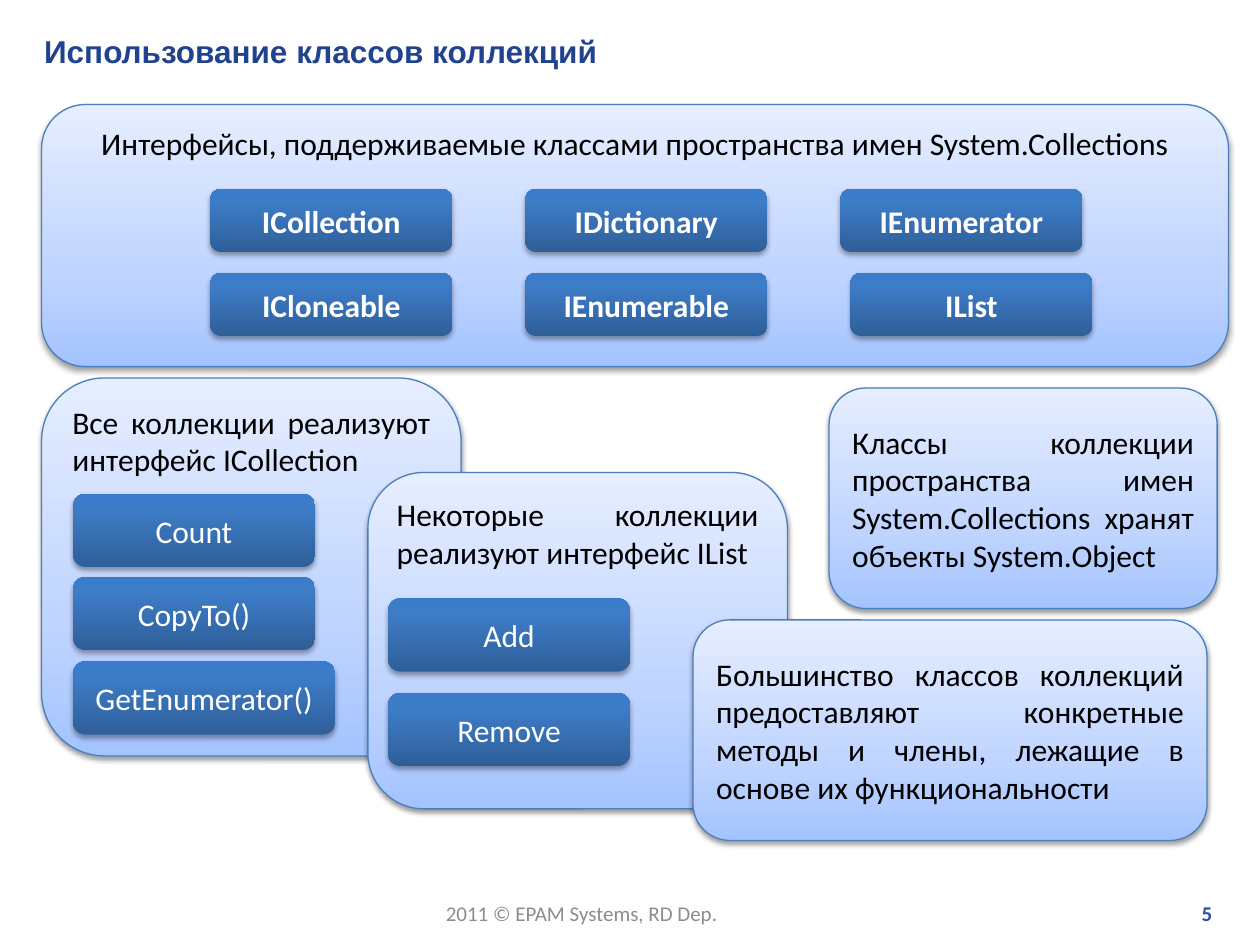
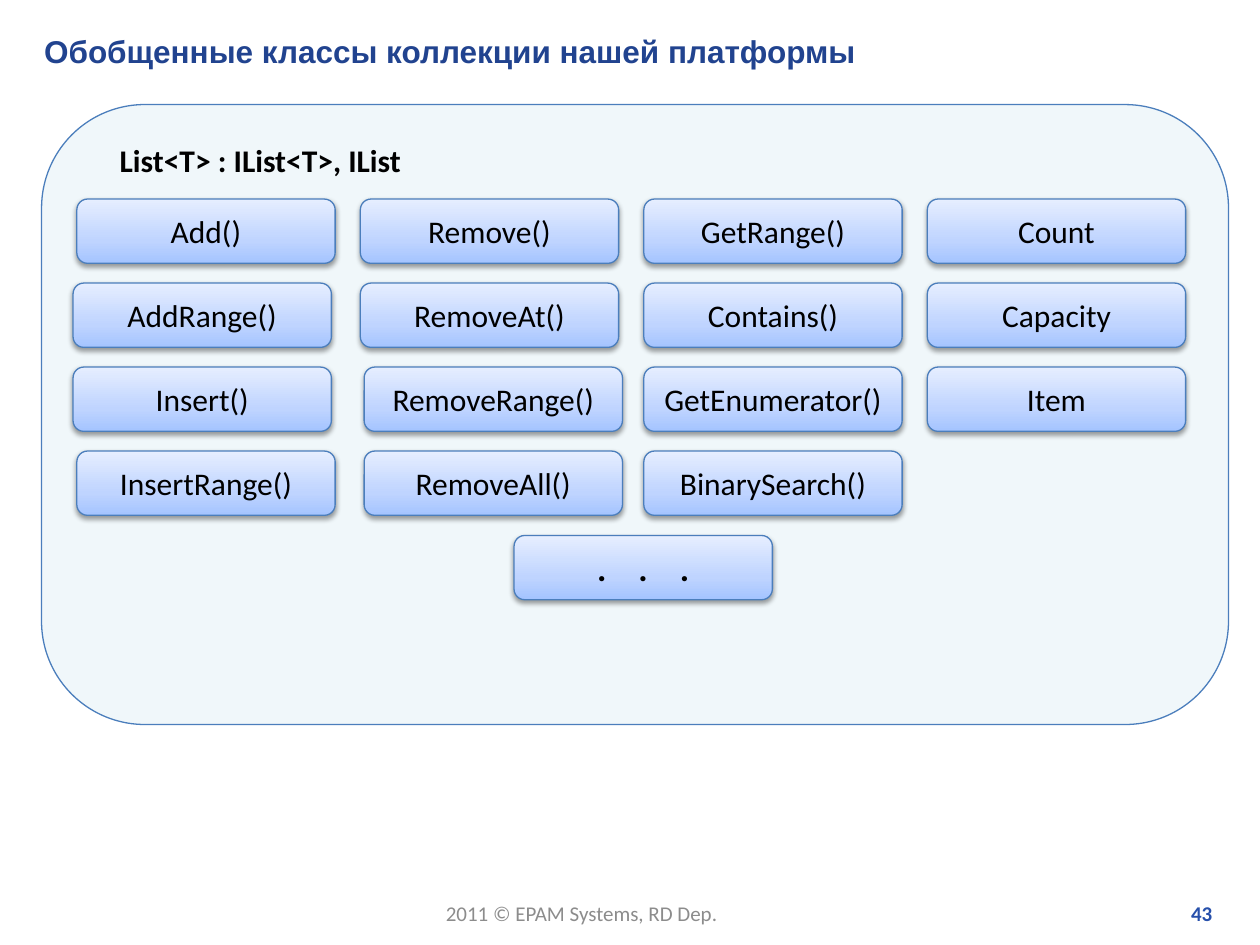
from dataclasses import dataclass

from lxml import etree
from pptx import Presentation
from pptx.dml.color import RGBColor
from pptx.enum.shapes import MSO_SHAPE
from pptx.enum.text import MSO_ANCHOR, PP_ALIGN
from pptx.oxml.ns import qn
from pptx.shapes.autoshape import Shape
from pptx.slide import Slide
from pptx.text.text import TextFrame
from pptx.util import Inches, Pt

ROUNDED = MSO_SHAPE.ROUNDED_RECTANGLE
LEFT, CENTER, RIGHT, JUSTIFY = PP_ALIGN.LEFT, PP_ALIGN.CENTER, PP_ALIGN.RIGHT, PP_ALIGN.JUSTIFY
TOP, MIDDLE = MSO_ANCHOR.TOP, MSO_ANCHOR.MIDDLE

BLACK = RGBColor(0x00, 0x00, 0x00)
WHITE = RGBColor(0xFF, 0xFF, 0xFF)
TITLE_BLUE = RGBColor(0x21, 0x43, 0x8F)
NUMBER_BLUE = RGBColor(0x27, 0x50, 0xAB)
FOOTER_GRAY = RGBColor(0x8C, 0x8C, 0x8C)
OUTLINE_BLUE = RGBColor(0x4B, 0x7E, 0xBC)
PALE_BLUE = RGBColor(0xF0, 0xF7, 0xFA)

TITLE_ONLY = 5
COPYRIGHT = "2011 © EPAM Systems, RD Dep."


@dataclass(frozen=True)
class Style:
    """Gradient stops run from the bottom up; shadow sizes are in points."""
    stops: tuple[tuple[int, RGBColor], ...]
    shadow_opacity: int
    shadow_distance: float
    text_color: RGBColor
    line: RGBColor | None = None


@dataclass(frozen=True)
class Box:
    text: str
    left: float
    top: float
    width: float
    height: float
    align: PP_ALIGN = CENTER
    anchor: MSO_ANCHOR = MIDDLE
    bold: bool = False
    size: int = 18
    space_after: int = 10
    tracking: int = 0


LIGHT = Style(
    ((0, RGBColor(0xA4, 0xC4, 0xFF)), (35, RGBColor(0xBF, 0xD4, 0xFF)), (100, RGBColor(0xE6, 0xEE, 0xFF))),
    shadow_opacity=38, shadow_distance=1.6, text_color=BLACK, line=OUTLINE_BLUE,
)
DARK = Style(
    ((0, RGBColor(0x2F, 0x5F, 0x99)), (80, RGBColor(0x3D, 0x7C, 0xC7)), (100, RGBColor(0x3A, 0x7C, 0xCB))),
    shadow_opacity=35, shadow_distance=1.8, text_color=WHITE,
)

ROW_PITCH = 2 / 3
INTERFACE_COLUMNS = (
    ("ICollection", "ICloneable"),
    ("IDictionary", "IEnumerable"),
    ("IEnumerator", "IList"),
)
LIST_COLUMNS = (
    ("Add()", "AddRange()", "Insert()", "InsertRange()"),
    ("Remove()", "RemoveAt()", "RemoveRange()", "RemoveAll()"),
    ("GetRange()", "Contains()", "GetEnumerator()", "BinarySearch()"),
    ("Count", "Capacity", "Item"),
)
NUDGES = {"IList": 0.08, "AddRange()": -0.03, "Insert()": -0.03,
          "RemoveRange()": 0.03, "RemoveAll()": 0.03}

COLLECTION_PANEL = Box("Все коллекции реализуют интерфейс IСollection",
                       0.33, 3, 3.33, 3, JUSTIFY, TOP)
COLLECTION_MEMBERS = (
    Box("Count", 0.58, 3.92, 1.92, 0.58),
    Box("CopyTo()", 0.58, 4.58, 1.92, 0.58),
    Box("GetEnumerator()", 0.58, 5.25, 2.08, 0.58),
)
LIST_PANEL = Box("Некоторые коллекции реализуют интерфейс IList",
                 2.92, 3.75, 3.33, 2.67, JUSTIFY, TOP)
LIST_MEMBERS = (
    Box("Add", 3.08, 4.75, 1.92, 0.58),
    Box("Remove", 3.08, 5.5, 1.92, 0.58),
)
INTERFACE_PANEL = Box("Интерфейсы, поддерживаемые классами пространства имен System.Collections",
                      0.33, 0.83, 9.42, 2.08, CENTER, TOP)
NOTES = (
    Box("Классы коллекции пространства имен System.Collections хранят объекты System.Object",
        6.58, 3.08, 3.08, 1.75, JUSTIFY),
    Box("Большинство классов коллекций предоставляют конкретные методы и члены, "
        "лежащие в основе их функциональности", 5.5, 4.92, 4.08, 1.75, JUSTIFY),
)
MORE_MEMBERS = Box(". . .", 4.08, 4.25, 2.05, 0.51, bold=True, size=20, space_after=0, tracking=690)


def write(frame: TextFrame, text: str, *, color: RGBColor, size: int = 18, font: str = "Calibri",
          bold: bool = False, align: PP_ALIGN = LEFT, anchor: MSO_ANCHOR = TOP,
          space_after: int = 0, tracking: int = 0, wrap: bool = True) -> None:
    """Fill a frame with one paragraph; tracking is in hundredths of a point."""
    frame.word_wrap = wrap
    frame.vertical_anchor = anchor
    para = frame.paragraphs[0]
    para.alignment = align
    para.space_after = Pt(space_after)
    span = para.add_run()
    span.text = text
    span.font.name = font
    span.font.size = Pt(size)
    span.font.bold = bold
    span.font.color.rgb = color
    if tracking:
        span.font._element.set("spc", str(tracking))


def add_color(parent: etree._Element, color: RGBColor) -> etree._Element:
    return etree.SubElement(parent, qn("a:srgbClr"), val=str(color))


def fill_gradient(shape: Shape, stops: tuple[tuple[int, RGBColor], ...]) -> None:
    shape.fill.gradient()
    shape.fill.gradient_angle = 90
    stop_list = shape._element.spPr.find(f".//{qn('a:gsLst')}")
    for stop in list(stop_list):
        stop_list.remove(stop)
    for percent, color in stops:
        add_color(etree.SubElement(stop_list, qn("a:gs"), pos=str(percent * 1000)), color)


def add_drop_shadow(shape: Shape, opacity: int, distance: float) -> None:
    effects = shape._element.spPr.find(qn("a:effectLst"))
    shadow = etree.SubElement(effects, qn("a:outerShdw"), blurRad=str(Pt(3.1)),
                              dist=str(Pt(distance)), dir="5400000", rotWithShape="0")
    etree.SubElement(add_color(shadow, BLACK), qn("a:alpha"), val=str(opacity * 1000))


def add_rounded(slide: Slide, left: float, top: float, width: float, height: float,
                line: RGBColor | None) -> Shape:
    shape = slide.shapes.add_shape(ROUNDED, Inches(left), Inches(top), Inches(width), Inches(height))
    shape.shadow.inherit = False
    if line is None:
        shape.line.fill.background()
    else:
        shape.line.color.rgb = line
        shape.line.width = Pt(0.75)
    return shape


def draw_box(slide: Slide, box: Box, style: Style) -> None:
    shape = add_rounded(slide, box.left, box.top, box.width, box.height, style.line)
    fill_gradient(shape, style.stops)
    add_drop_shadow(shape, style.shadow_opacity, style.shadow_distance)
    write(shape.text_frame, box.text, color=style.text_color, size=box.size, bold=box.bold,
          align=box.align, anchor=box.anchor, space_after=box.space_after, tracking=box.tracking)


def draw_grid(slide: Slide, columns: tuple[tuple[str, ...], ...], style: Style, *, left: float,
              top: float, pitch: float, width: float, height: float, bold: bool = False,
              space_after: int = 0) -> None:
    for column, names in enumerate(columns):
        for row, name in enumerate(names):
            box = Box(name, left + column * pitch + NUDGES.get(name, 0), top + row * ROW_PITCH,
                      width, height, bold=bold, space_after=space_after)
            draw_box(slide, box, style)


def add_page(deck: Presentation, title: str, number: int) -> Slide:
    page = deck.slides.add_slide(deck.slide_layouts[TITLE_ONLY])
    heading = page.shapes.title
    heading.left, heading.top = Inches(0.25), Inches(0.2)
    heading.width, heading.height = Inches(9.54), Inches(0.4)
    write(heading.text_frame, title, color=TITLE_BLUE, font="Arial", bold=True, anchor=MIDDLE)

    footer = page.shapes.add_textbox(Inches(3.44), Inches(7.1), Inches(2.39), Inches(0.3))
    write(footer.text_frame, COPYRIGHT, color=FOOTER_GRAY, size=12, wrap=False)
    page_number = page.shapes.add_textbox(Inches(7.6), Inches(7.1), Inches(2.12), Inches(0.3))
    write(page_number.text_frame, str(number), color=NUMBER_BLUE, size=12, bold=True, align=RIGHT)
    return page


def build_interfaces_page(deck: Presentation) -> None:
    page = add_page(deck, "Использование классов коллекций", 5)
    for panel, members in ((COLLECTION_PANEL, COLLECTION_MEMBERS), (LIST_PANEL, LIST_MEMBERS)):
        draw_box(page, panel, LIGHT)
        for member in members:
            draw_box(page, member, DARK)
    draw_box(page, INTERFACE_PANEL, LIGHT)
    draw_grid(page, INTERFACE_COLUMNS, DARK, left=1.67, top=1.5, pitch=2.5,
              width=1.92, height=0.5, bold=True, space_after=10)
    for note in NOTES:
        draw_box(page, note, LIGHT)


def build_generic_list_page(deck: Presentation) -> None:
    page = add_page(deck, "Обобщенные классы коллекции нашей платформы", 43)
    panel = add_rounded(page, 0.33, 0.83, 9.42, 4.92, OUTLINE_BLUE)
    panel.fill.solid()
    panel.fill.fore_color.rgb = PALE_BLUE
    panel.text_frame.margin_left = Inches(0.38)
    write(panel.text_frame, "List<T> : IList<T>, IList", color=BLACK, bold=True)
    draw_grid(page, LIST_COLUMNS, LIGHT, left=0.61, top=1.58, pitch=2.25, width=2.05, height=0.51)
    draw_box(page, MORE_MEMBERS, LIGHT)


def main() -> None:
    deck = Presentation()
    deck.slide_width, deck.slide_height = Inches(10), Inches(7.5)
    build_interfaces_page(deck)
    build_generic_list_page(deck)
    deck.save("out.pptx")


if __name__ == "__main__":
    main()
